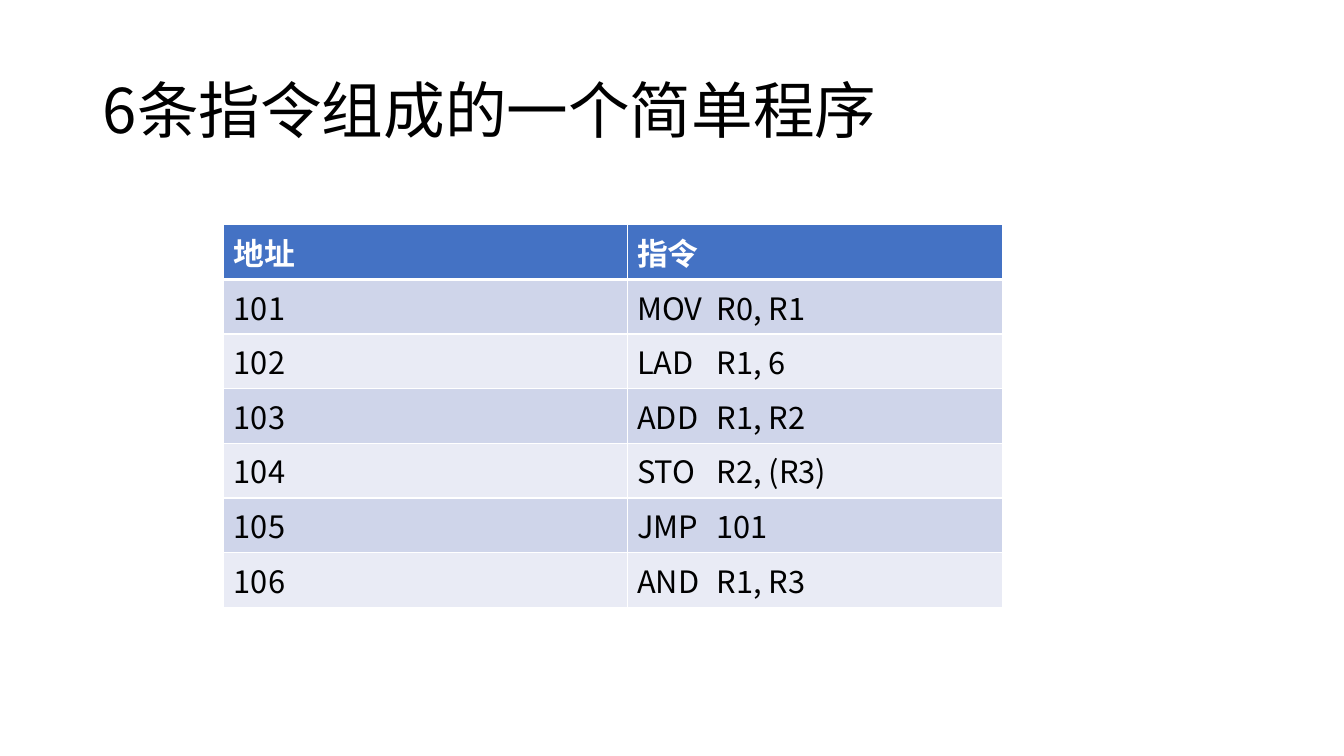
"""Build a slide that lists a simple six-instruction program."""
import pptx
import pptx.dml.color
import pptx.enum.text
import pptx.oxml.ns
import pptx.util
from lxml import etree
from pptx.util import Inches

FONT = "Noto Sans CJK SC"
COLORS = {
    "white": "FFFFFF",
    "text": "000000",
    "header": "4472C4",
    "odd": "CFD5EA",
    "even": "E9EBF5",
}
HEADINGS = ("地址", "指令")
FIRST_ADDRESS = 101
INSTRUCTIONS = (
    ("MOV", "R0, R1"),
    ("LAD", "R1, 6"),
    ("ADD", "R1, R2"),
    ("STO", "R2, (R3)"),
    ("JMP", "101"),
    ("AND", "R1, R3"),
)


def rgb(name):
    """Return the named colour."""
    return pptx.dml.color.RGBColor.from_string(COLORS[name])


def add_element(parent, tag, **attributes):
    """Append a drawing element to its parent."""
    return etree.SubElement(parent, pptx.oxml.ns.qn(tag), attributes)


def add_run(paragraph, text, size, color, bold=False):
    """Add one formatted run."""
    run = paragraph.add_run()
    run.text = text
    run.font.size = pptx.util.Pt(size)
    run.font.bold = bold
    run.font.color.rgb = rgb(color)
    run.font.name = FONT
    add_element(run.font._element, "a:ea", typeface=FONT)


def add_tab_stop(paragraph, position):
    """Give the paragraph one left tab stop."""
    tabs = add_element(paragraph._p.get_or_add_pPr(), "a:tabLst")
    add_element(tabs, "a:tab", pos=str(position), algn="l")


def add_borders(cell, widths):
    """Draw white cell borders with the given widths in points."""
    properties = cell._tc.get_or_add_tcPr()
    for side, width in widths.items():
        line = add_element(properties, f"a:ln{side}", w=str(pptx.util.Pt(width)))
        fill = add_element(line, "a:solidFill")
        add_element(fill, "a:srgbClr", val=COLORS["white"])


def fill_title(slide, left, top, width, height):
    """Place and write the slide title."""
    title = slide.shapes.title
    title.left, title.top, title.width, title.height = left, top, width, height
    frame = title.text_frame
    frame.vertical_anchor = pptx.enum.text.MSO_ANCHOR.MIDDLE
    paragraph = frame.paragraphs[0]
    paragraph.alignment = pptx.enum.text.PP_ALIGN.LEFT
    paragraph.line_spacing = 0.9
    add_run(paragraph, "6条指令组成的一个简单程序", 44, "text")


def add_program_table(slide, left, top, width, height):
    """Add the table of addresses and instructions."""
    rows = [HEADINGS]
    for address, (operation, operands) in enumerate(INSTRUCTIONS, FIRST_ADDRESS):
        rows.append((str(address), f"{operation}\t{operands}"))
    table = slide.shapes.add_table(len(rows), 2, left, top, width, height).table
    table.columns[0].width = Inches(4)
    table.columns[1].width = width - Inches(4)
    for row_index, texts in enumerate(rows):
        is_header = row_index == 0
        band = "header" if is_header else ("even", "odd")[row_index % 2]
        borders = {"L": 1, "R": 1, "T": 3 if row_index == 1 else 1,
                   "B": 3 if is_header else 1}
        for column_index, text in enumerate(texts):
            cell = table.cell(row_index, column_index)
            add_borders(cell, borders)
            cell.fill.solid()
            cell.fill.fore_color.rgb = rgb(band)
            paragraph = cell.text_frame.paragraphs[0]
            if "\t" in text:
                add_tab_stop(paragraph, Inches(0.79))
            add_run(paragraph, text, 22, "white" if is_header else "text", is_header)


def main():
    """Build and save the presentation."""
    presentation = pptx.Presentation()
    presentation.slide_width = Inches(13.33)
    presentation.slide_height = Inches(7.5)
    slide = presentation.slides.add_slide(presentation.slide_layouts[5])
    fill_title(slide, Inches(0.92), Inches(0.4), Inches(11.5), Inches(1.45))
    add_program_table(slide, Inches(2.22), Inches(2.23), Inches(7.72), Inches(3.57))
    presentation.save("out.pptx")


if __name__ == "__main__":
    main()
